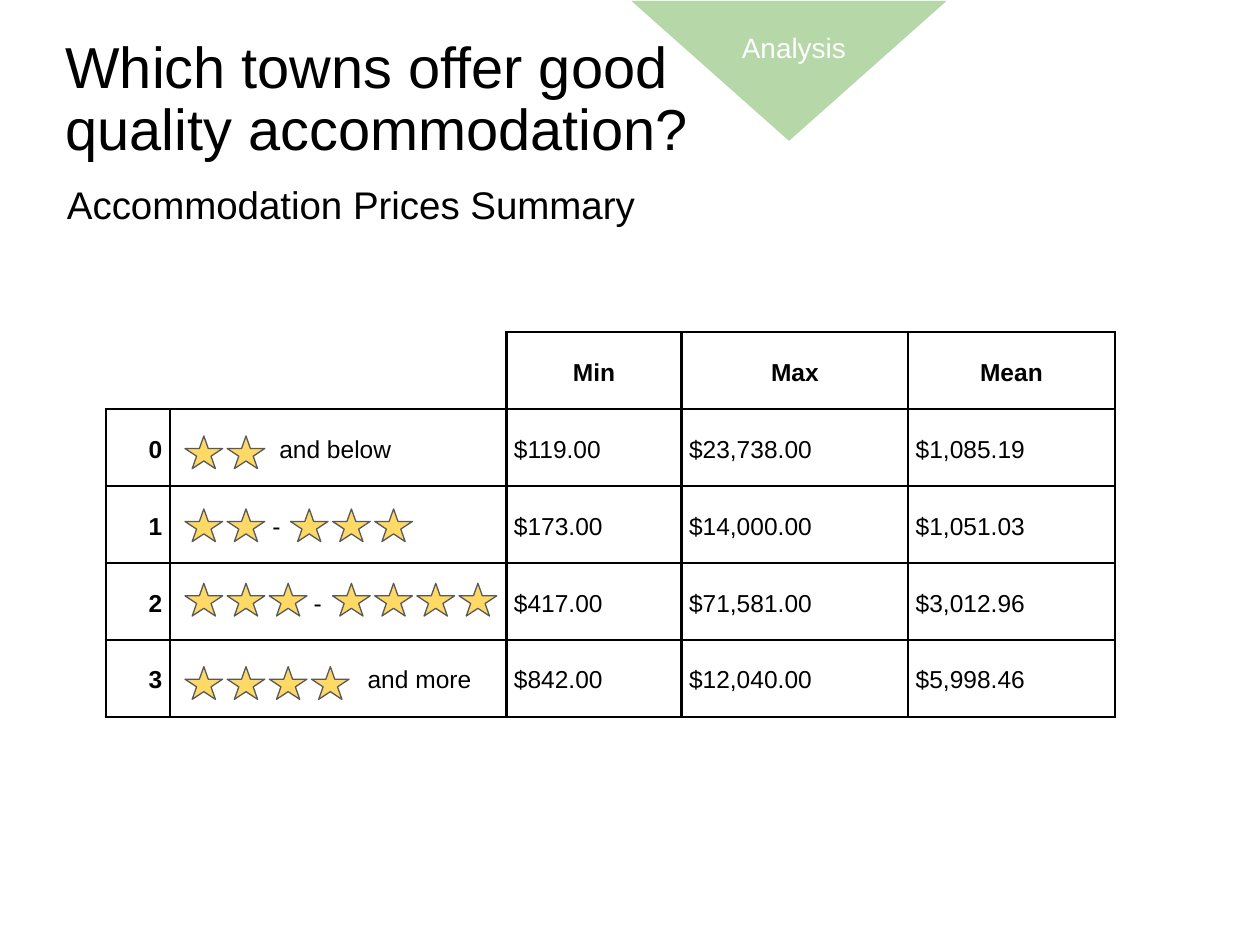
import pptx
import pptx.dml.color
import pptx.enum.shapes
import pptx.enum.text
import pptx.oxml.ns
import pptx.util
from lxml import etree

Cm = pptx.util.Cm
Pt = pptx.util.Pt
RGBColor = pptx.dml.color.RGBColor
SHAPE = pptx.enum.shapes.MSO_SHAPE
ALIGN = pptx.enum.text.PP_ALIGN
ANCHOR = pptx.enum.text.MSO_ANCHOR

BLACK = RGBColor(0x00, 0x00, 0x00)
WHITE = RGBColor(0xFF, 0xFF, 0xFF)
GREEN = RGBColor(0xB6, 0xD7, 0xA8)
GOLD = RGBColor(0xFF, 0xD9, 0x66)
GREY = RGBColor(0x59, 0x59, 0x59)


def set_all(target, values):
    for name, value in values.items():
        setattr(target, name, value)


class SlideBuilder:
    """Holds the style and the current slide."""

    font_name = "Arial"
    border_width = Pt(1.5)

    def __init__(self, slide):
        self.slide = slide

    def style_paragraph(self, paragraph, text, size, color=BLACK, bold=False,
                        align=ALIGN.LEFT, spacing=1.0):
        set_all(paragraph, {"text": text, "alignment": align, "line_spacing": spacing})
        font = paragraph.runs[0].font
        set_all(font, {"name": self.font_name, "size": Pt(size), "bold": bold})
        font.color.rgb = color

    def fill_frame(self, frame, text, size, margin_y=0.13, anchor=ANCHOR.MIDDLE, **style):
        set_all(frame, {
            "word_wrap": True, "auto_size": pptx.enum.text.MSO_AUTO_SIZE.NONE,
            "vertical_anchor": anchor, "margin_left": Cm(0.25), "margin_right": Cm(0.25),
            "margin_top": Cm(margin_y), "margin_bottom": Cm(margin_y)})
        self.style_paragraph(frame.paragraphs[0], text, size, **style)

    def title(self, text, left, top, width, height, size):
        title = self.slide.shapes.title
        set_all(title, {"left": Cm(left), "top": Cm(top),
                        "width": Cm(width), "height": Cm(height)})
        self.fill_frame(title.text_frame, text, size, spacing=0.9)

    def text(self, text, left, top, width, height, size, **style):
        box = self.slide.shapes.add_textbox(Cm(left), Cm(top), Cm(width), Cm(height))
        self.fill_frame(box.text_frame, text, size, **style)

    def shape(self, kind, left, top, width, height, fill, line=None, rotation=0):
        shape = self.slide.shapes.add_shape(kind, Cm(left), Cm(top), Cm(width), Cm(height))
        shape.shadow.inherit = False
        shape.rotation = rotation
        shape.fill.solid()
        shape.fill.fore_color.rgb = fill
        if line is None:
            shape.line.fill.background()
        else:
            shape.line.color.rgb = line
            shape.line.width = Pt(0.75)

    def borders(self, cell, sides):
        properties = cell._tc.get_or_add_tcPr()
        qn = pptx.oxml.ns.qn
        for position, side in enumerate("LRTB"):
            line = etree.Element(qn(f"a:ln{side}"), w=str(self.border_width))
            if side in sides:
                solid = etree.SubElement(line, qn("a:solidFill"))
                etree.SubElement(solid, qn("a:srgbClr"), val=str(BLACK))
            else:
                etree.SubElement(line, qn("a:noFill"))
            properties.insert(position, line)

    def cell(self, cell, text, sides="LRTB", indent=0, **style):
        set_all(cell, {"vertical_anchor": ANCHOR.MIDDLE,
                       "margin_left": Cm(0.15), "margin_right": Cm(0.15),
                       "margin_top": Cm(0.15), "margin_bottom": Cm(0.15)})
        cell.fill.background()
        self.borders(cell, sides)
        if text:
            paragraph = cell.text_frame.paragraphs[0]
            self.style_paragraph(paragraph, text, 14, spacing=1.15, **style)
            if indent:
                paragraph._p.get_or_add_pPr().set("marL", str(Cm(indent)))

    def table(self, left, top, widths, row_height, row_count):
        frame = self.slide.shapes.add_table(
            row_count, len(widths), Cm(left), Cm(top),
            Cm(sum(widths)), Cm(row_height * row_count))
        table = frame.table
        set_all(table, {"first_row": False, "horz_banding": False})
        for column, width in zip(table.columns, widths):
            column.width = Cm(width)
        for row in table.rows:
            row.height = Cm(row_height)
        return table

    def stars(self, groups, left, top, pitch=0.85):
        """Draws groups of stars, half a pitch apart."""
        for count in groups:
            for index in range(count):
                self.shape(SHAPE.STAR_5_POINT, left + index * pitch, top,
                           0.76, 0.66, GOLD, GREY)
            left += (count + 0.5) * pitch


def main():
    presentation = pptx.Presentation()
    set_all(presentation, {"slide_width": Cm(25.4), "slide_height": Cm(19.05)})
    builder = SlideBuilder(presentation.slides.add_slide(presentation.slide_layouts[5]))

    # Heading and section marker
    builder.title("Which towns offer good quality accommodation?",
                  1.07, 0.43, 15.34, 3.2, 33)
    builder.shape(SHAPE.ISOSCELES_TRIANGLE, 12.73, 0.02, 6.35, 2.82, GREEN, rotation=180)
    builder.text("Analysis", 13.67, 0.36, 4.67, 1.32, 16, color=WHITE,
                 align=ALIGN.CENTER, anchor=ANCHOR.TOP, margin_y=0.25)
    builder.text("Accommodation Prices Summary", 1.1, 3.2, 20.95, 1.95, 22, spacing=0.9)

    # Price table: label, label indent, star groups, star top, prices
    headings = ["Min", "Max", "Mean"]
    ratings = [
        ("and below", 2.06, [2], 8.79, ["$119.00", "$23,738.00", "$1,085.19"]),
        ("-", 1.92, [2, 3], 10.26, ["$173.00", "$14,000.00", "$1,051.03"]),
        ("-", 2.75, [3, 4], 11.76, ["$417.00", "$71,581.00", "$3,012.96"]),
        ("and more", 3.84, [4], 13.44, ["$842.00", "$12,040.00", "$5,998.46"]),
    ]
    prices = builder.table(2.13, 6.7, [1.29, 6.79, 3.53, 4.57, 4.16], 1.55,
                           len(ratings) + 1)
    builder.cell(prices.cell(0, 0), "", sides="B")
    builder.cell(prices.cell(0, 1), "", sides="RB")
    for column, heading in enumerate(headings, start=2):
        builder.cell(prices.cell(0, column), heading, bold=True, align=ALIGN.CENTER)
    for row, (label, indent, groups, star_top, amounts) in enumerate(ratings, start=1):
        builder.cell(prices.cell(row, 0), str(row - 1), bold=True, align=ALIGN.RIGHT)
        builder.cell(prices.cell(row, 1), label, indent=indent)
        for column, amount in enumerate(amounts, start=2):
            builder.cell(prices.cell(row, column), amount)
        # Star ratings over the label column
        builder.stars(groups, 3.73, star_top)

    presentation.save("out.pptx")


if __name__ == "__main__":
    main()
